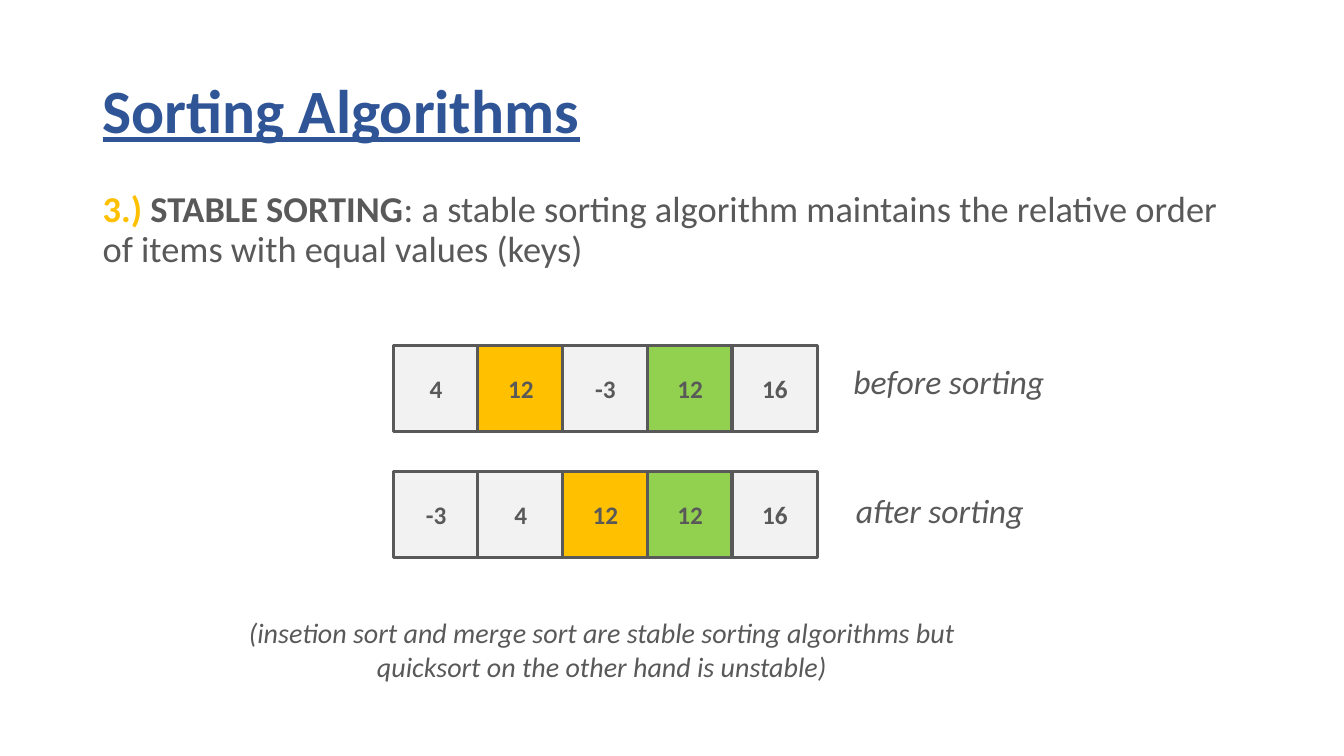
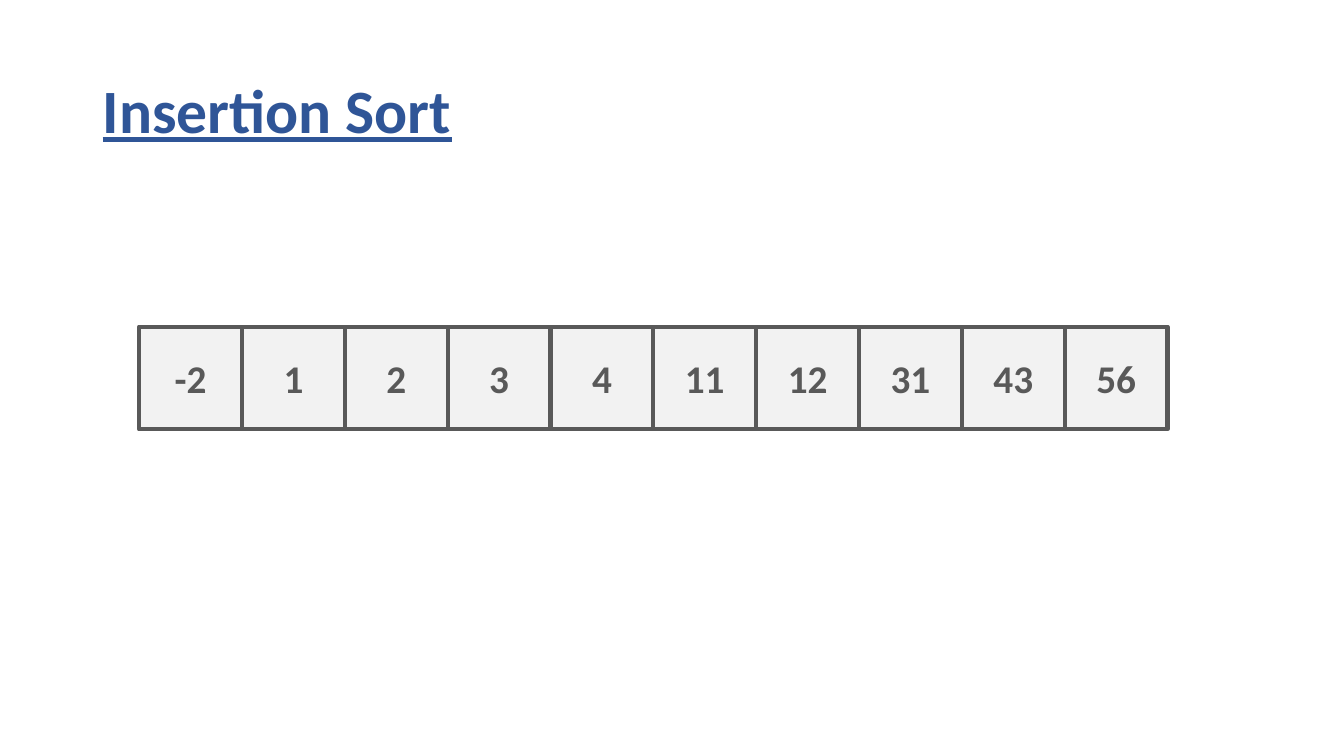
from dataclasses import dataclass
from typing import NamedTuple

from pptx import Presentation
from pptx.dml.color import RGBColor
from pptx.enum.shapes import MSO_SHAPE
from pptx.enum.text import MSO_ANCHOR, PP_ALIGN
from pptx.util import Pt

EMU_PER_PX = 9144


class Box(NamedTuple):
    """Hold a rectangle in px."""

    left: int
    top: int
    width: int
    height: int

    def emu(self):
        """Return the four lengths in EMU."""
        return [length * EMU_PER_PX for length in self]


@dataclass(frozen=True)
class Theme:
    """Hold the colours, font and type sizes of the deck."""

    font: str = "Calibri"
    blue: str = "2F5597"
    grey: str = "595959"
    pale: str = "F2F2F2"
    amber: str = "FFC000"
    green: str = "92D050"
    title_size: int = 44
    body_size: int = 26
    label_size: int = 24
    note_size: int = 20


@dataclass(frozen=True)
class CellStyle:
    """Hold the measures of one kind of array cell."""

    side: int
    pitch: int
    text_size: int
    line_width: float


THEME = Theme()
PAGE = Box(0, 0, 1333, 750)
TITLE = Box(92, 40, 1150, 145)
BODY = Box(92, 185, 1150, 525)
SMALL_CELL = CellStyle(side=85, pitch=84, text_size=18, line_width=2.25)
LARGE_CELL = CellStyle(side=102, pitch=102, text_size=28, line_width=3)


def add_span(para, text, size, color=THEME.grey, bold=False, italic=False, underline=False):
    """Append one styled run to a paragraph."""
    span = para.add_run()
    span.text = text
    font = span.font
    font.name, font.size = THEME.font, Pt(size)
    font.bold, font.italic, font.underline = bold, italic, underline
    font.color.rgb = RGBColor.from_string(color)


def add_text_frame(page, box, anchor=MSO_ANCHOR.TOP, wrap=True):
    """Add an empty text box and return its frame."""
    frame = page.shapes.add_textbox(*box.emu()).text_frame
    frame.word_wrap = wrap
    frame.vertical_anchor = anchor
    return frame


def add_title(page, box, text):
    """Add the underlined slide title."""
    para = add_text_frame(page, box, MSO_ANCHOR.MIDDLE).paragraphs[0]
    para.line_spacing = 0.9
    add_span(para, text, THEME.title_size, THEME.blue, bold=True, underline=True)


def add_definition(page, box, number, term, meaning):
    """Add a numbered term followed by its meaning."""
    para = add_text_frame(page, box).paragraphs[0]
    para.line_spacing = 0.9
    para.space_before = Pt(10)
    add_span(para, number, THEME.body_size, THEME.amber, bold=True)
    add_span(para, term, THEME.body_size, bold=True)
    add_span(para, meaning, THEME.body_size)


def add_caption(page, box, lines, size):
    """Add centred italic lines."""
    frame = add_text_frame(page, box, wrap=False)
    for index, line in enumerate(lines):
        para = frame.add_paragraph() if index else frame.paragraphs[0]
        para.alignment = PP_ALIGN.CENTER
        add_span(para, line, size, italic=True)


def add_cell(page, box, value, fill, style):
    """Add one outlined cell with its value."""
    cell = page.shapes.add_shape(MSO_SHAPE.RECTANGLE, *box.emu())
    cell.shadow.inherit = False
    cell.fill.solid()
    cell.fill.fore_color.rgb = RGBColor.from_string(fill)
    cell.line.color.rgb = RGBColor.from_string(THEME.grey)
    cell.line.width = Pt(style.line_width)
    cell.text_frame.vertical_anchor = MSO_ANCHOR.MIDDLE
    para = cell.text_frame.paragraphs[0]
    para.alignment = PP_ALIGN.CENTER
    add_span(para, str(value), style.text_size, bold=True)


def add_array(page, left, top, values, style, fills=None):
    """Add a row of cells, with fills given by index."""
    fills = fills or {}
    for index, value in enumerate(values):
        box = Box(left + index * style.pitch, top, style.side, style.side)
        add_cell(page, box, value, fills.get(index, THEME.pale), style)


def add_page(deck, title):
    """Add a blank page with its title."""
    page = deck.slides.add_slide(deck.slide_layouts[6])
    add_title(page, TITLE, title)
    return page


def build_stable_sorting(deck):
    """Build the slide on stable sorting."""
    page = add_page(deck, "Sorting Algorithms")
    add_definition(
        page, BODY, "3.) ", "STABLE SORTING",
        ": a stable sorting algorithm maintains the relative order of items with equal values (keys)",
    )
    rows = [
        (343, [4, 12, -3, 12, 16], 1, "before sorting", Box(835, 353, 212, 50)),
        (468, [-3, 4, 12, 12, 16], 2, "after sorting", Box(838, 481, 188, 50)),
    ]
    for top, values, first_equal, label, label_box in rows:
        fills = {first_equal: THEME.amber, 3: THEME.green}
        add_array(page, 390, top, values, SMALL_CELL, fills)
        add_caption(page, label_box, [label], THEME.label_size)
    note = [
        "(insetion sort and merge sort are stable sorting algorithms but",
        "quicksort on the other hand is unstable)",
    ]
    add_caption(page, Box(231, 606, 732, 77), note, THEME.note_size)


def build_insertion_sort(deck):
    """Build the slide on insertion sort."""
    page = add_page(deck, "Insertion Sort")
    add_array(page, 138, 324, [-2, 1, 2, 3, 4, 11, 12, 31, 43, 56], LARGE_CELL)


def main():
    """Build and save the deck."""
    deck = Presentation()
    deck.slide_width, deck.slide_height = PAGE.emu()[2:]
    build_stable_sorting(deck)
    build_insertion_sort(deck)
    deck.save("out.pptx")


if __name__ == "__main__":
    main()
